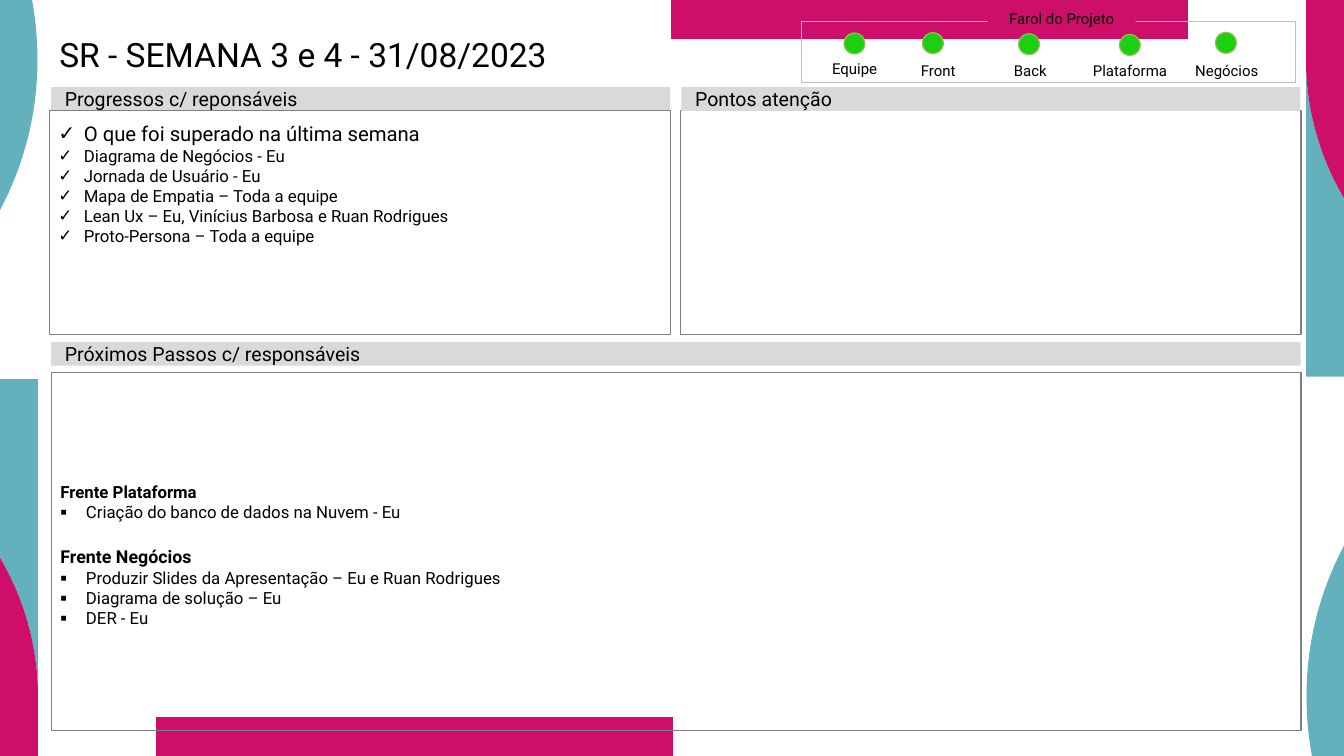
"""Build the weekly status report slide."""
from pptx import Presentation
from pptx import util as u
from pptx.dml.color import RGBColor
from pptx.enum import shapes, text
from pptx.oxml import ns
from lxml import etree

WIDE, HIGH = 37.34, 21.01
FONT = "Roboto"
HUES = {"teal": "63B1BC", "pink": "CE0F69", "grey": "D9D9D9", "edge": "808080",
        "frame": "BFBFBF", "green": "1BCF13", "rim": "9BBB59", "ink": "000000"}

TITLE = "SR - SEMANA 3 e 4 - 31/08/2023"
BEACON = "Farol do Projeto"
LIGHTS = [
    ("Equipe", 23.45, 0.92, 22.5, 1.65),
    ("Front", 25.63, 0.91, 24.82, 1.7),
    ("Back", 28.3, 0.94, 27.38, 1.7),
    ("Plataforma", 31.1, 0.96, 30.15, 1.7),
    ("Negócios", 33.77, 0.9, 32.84, 1.7),
]
HEADS = [
    ("Progressos c/ reponsáveis", 1.42, 2.42, 17.2),
    ("Pontos atenção", 18.93, 2.42, 17.2),
    ("Próximos Passos c/ responsáveis", 1.42, 9.5, 34.72),
]
DONE = [
    ("O que foi superado na última semana", 16, "✓", 0),
    ("Diagrama de Negócios - Eu", 13.2, "✓", 0),
    ("Jornada de Usuário - Eu", 13.2, "✓", 0),
    ("Mapa de Empatia – Toda a equipe", 13.2, "✓", 0),
    ("Lean Ux – Eu, Vinícius Barbosa e Ruan Rodrigues", 13.2, "✓", 0),
    ("Proto-Persona – Toda a equipe", 13.2, "✓", 0),
]
NEXT = [
    ("Frente Plataforma", 13.2, "", 0),
    ("Criação do banco de dados na Nuvem - Eu", 13.2, "▪", 0),
    ("Frente Negócios", 14, "", 18.75),
    ("Produzir Slides da Apresentação – Eu e Ruan Rodrigues", 13.2, "▪", 0),
    ("Diagrama de solução – Eu", 13.2, "▪", 0),
    ("DER - Eu", 13.2, "▪", 0),
]
DECOR = [
    ("teal", [(0.89, 0), (0, 0), (0, 5.84),
              ((0.66, 4.6), (1.04, 3.18), (1.04, 1.68)),
              ((1.04, 1.09), (0.99, 0.53), (0.89, 0))]),
    ("pink", [(18.64, 0), (33, 0), (33, 1.09), (18.64, 1.09)]),
    ("teal", [(36.29, 1.98), (36.29, 10.47), (37.34, 10.47), (37.34, 5.51),
              ((36.73, 4.47), (36.35, 3.28), (36.29, 1.98))]),
    ("pink", [(37.34, 5.51), (37.34, 0), (36.29, 0), (36.29, 1.98),
              ((36.35, 3.28), (36.73, 4.47), (37.34, 5.51))]),
]


def hue(name):
    return RGBColor.from_string(HUES[name])


def paint(shape, fill=None, line=None, width=0.95):
    shape.shadow.inherit = False
    if fill:
        shape.fill.solid()
        shape.fill.fore_color.rgb = hue(fill)
    else:
        shape.fill.background()
    if line:
        shape.line.color.rgb = hue(line)
        shape.line.width = u.Pt(width)
    else:
        shape.line.fill.background()
    return shape


def add(slide, kind, box, **style):
    return paint(slide.shapes.add_shape(kind, *map(u.Cm, box)), **style)


def frame(shape, pads, anchor, wrap=True):
    body = shape.text_frame
    body.margin_left, body.margin_top, body.margin_right, body.margin_bottom = map(u.Cm, pads)
    body.vertical_anchor = anchor
    body.word_wrap = wrap
    return body


def write(para, words, size, align=text.PP_ALIGN.LEFT, bold=False):
    para.text = words
    para.alignment = align
    para.font.name = FONT
    para.font.size = u.Pt(size)
    para.font.bold = bold
    para.font.color.rgb = hue("ink")


def label(shape, words):
    body = frame(shape, (0.15, 0.15, 0.15, 0), text.MSO_ANCHOR.BOTTOM, False)
    write(body.paragraphs[0], words, 11.8, text.PP_ALIGN.CENTER)


def bullet(para, mark):
    props = para._p.get_or_add_pPr()
    props.set("marL", str(u.Cm(0.71)))
    props.set("indent", str(u.Cm(-0.71)))
    style = props.find(ns.qn("a:defRPr"))
    etree.SubElement(props, ns.qn("a:buFont")).set("typeface", FONT)
    etree.SubElement(props, ns.qn("a:buChar")).set("char", mark)
    props.append(style)


def fill(shape, items, anchor):
    body = frame(shape, (0.25, 0.3, 0.25, 0.13), anchor)
    for i, (words, size, mark, gap) in enumerate(items):
        para = body.paragraphs[0] if i == 0 else body.add_paragraph()
        write(para, words, size, bold=not mark)
        if gap:
            para.space_before = u.Pt(gap)
        if mark:
            bullet(para, mark)
    return body


def bend(shape, steps):
    lines = iter(shape._element.findall(".//" + ns.qn("a:lnTo")))
    for step in steps[1:]:
        line = next(lines)
        if isinstance(step[0], tuple):
            curve = etree.Element(ns.qn("a:cubicBezTo"))
            line.addprevious(curve)
            for part in (line, next(lines), next(lines)):
                curve.append(part[0])
                part.getparent().remove(part)


def decorate(slide):
    for turn in (False, True):
        for tone, steps in DECOR:
            dots = []
            for step in steps:
                dots.extend(step if isinstance(step[0], tuple) else [step])
            if turn:
                dots = [(WIDE - x, HIGH - y) for x, y in dots]
            dots = [(u.Cm(x), u.Cm(y)) for x, y in dots]
            pen = slide.shapes.build_freeform(*dots[0])
            pen.add_line_segments(dots[1:], close=True)
            shape = paint(pen.convert_to_shape(), fill=tone)
            bend(shape, steps)


def main():
    deck = Presentation()
    deck.slide_width, deck.slide_height = u.Cm(WIDE), u.Cm(HIGH)
    slide = deck.slides.add_slide(deck.slide_layouts[6])
    rect, oval = shapes.MSO_SHAPE.RECTANGLE, shapes.MSO_SHAPE.OVAL
    top, mid = text.MSO_ANCHOR.TOP, text.MSO_ANCHOR.MIDDLE
    decorate(slide)

    add(slide, rect, (18.9, 3.07, 17.25, 6.22), line="edge")
    title = slide.shapes.add_textbox(*map(u.Cm, (1.35, 1.07, 33.6, 2.24)))
    para = frame(title, (0.3, 0, 0.3, 0), top).paragraphs[0]
    write(para, TITLE, 26.4)
    para.line_spacing = 0.9

    for words, x, y, wide in HEADS:
        head = add(slide, rect, (x, y, wide, 0.66), fill="grey")
        write(frame(head, (0.38, 0.18, 0.38, 0.18), mid).paragraphs[0], words, 15.45)

    fill(add(slide, rect, (1.37, 3.07, 17.25, 6.22), line="edge"), DONE, top)
    plan = add(slide, rect, (1.43, 10.36, 34.72, 9.95), line="edge")
    fill(plan, NEXT, mid)._txBody.bodyPr.set("numCol", "2")

    for words, x, y, left, low in LIGHTS:
        add(slide, oval, (x, y, 0.58, 0.58), fill="green", line="rim")
        label(slide.shapes.add_textbox(*map(u.Cm, (left, low, 2.49, 0.51))), words)
    add(slide, rect, (22.27, 0.58, 13.72, 1.71), line="frame", width=0.5)
    label(add(slide, rect, (27.44, 0.18, 4.11, 0.58), fill="pink"), BEACON)
    deck.save("out.pptx")


if __name__ == "__main__":
    main()
